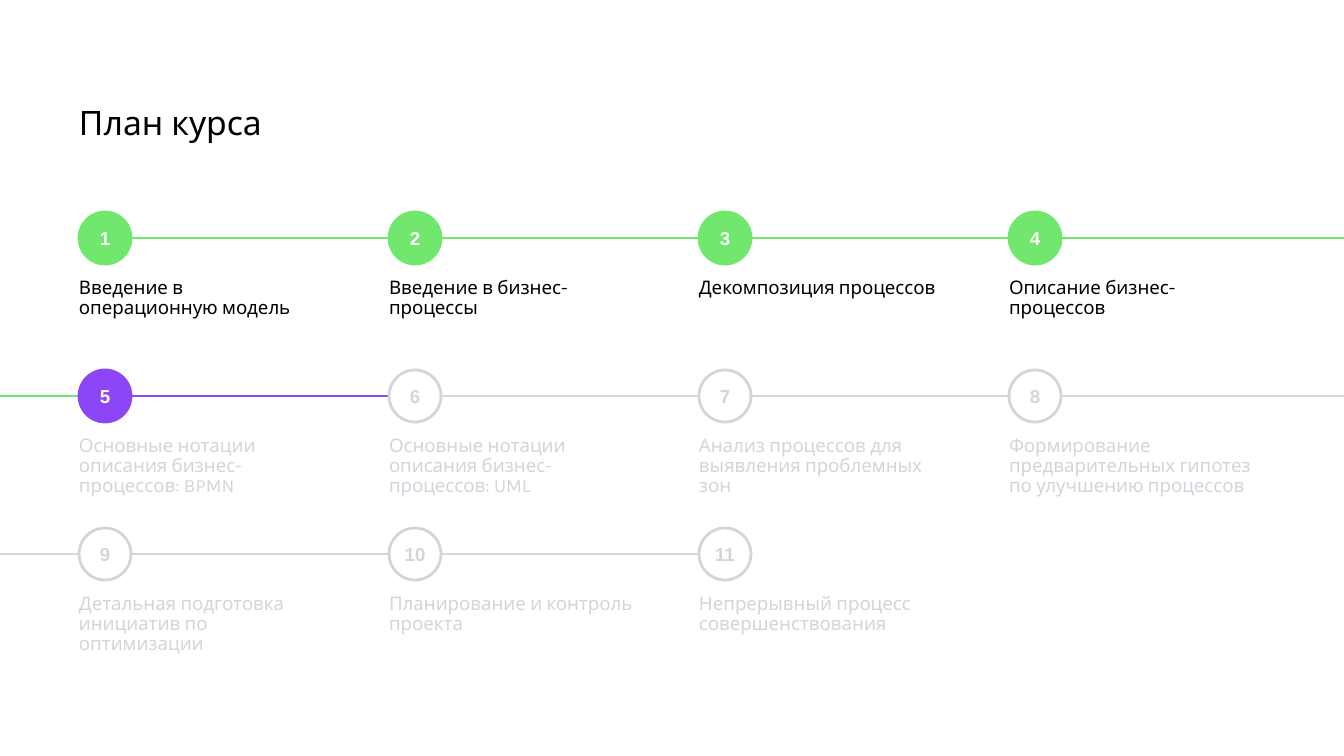
from dataclasses import dataclass

from pptx import Presentation
from pptx.dml.color import RGBColor
from pptx.enum.shapes import MSO_CONNECTOR, MSO_SHAPE
from pptx.enum.text import MSO_ANCHOR, MSO_AUTO_SIZE, PP_ALIGN
from pptx.oxml.ns import qn
from pptx.util import Pt
from lxml.etree import SubElement

EMU_PER_PX = 914400 / 134.4
SLIDE_W, SLIDE_H = 1344, 756
LEFT, TOP = 79, 212
COLUMN_PITCH, ROW_PITCH = 310, 158
COLUMNS = 4
MARKER = 52
LABEL_GAP, LABEL_W, LABEL_H, LABEL_INSET = 53, 257, 50, 13


@dataclass(frozen=True)
class Theme:
    done: str = "71E76E"
    current: str = "8D46F6"
    upcoming: str = "D4D4DD"
    ink: str = "000000"
    paper: str = "FFFFFF"
    text_font: str = "Karla"
    number_font: str = "Arial"
    title_size: int = 18
    body_size: int = 10
    line_width: float = 1.5
    line_spacing: float = 0.9


THEME = Theme()
CURRENT_STEP = 5
STEPS = [
    "Введение в операционную модель",
    "Введение в бизнес-процессы",
    "Декомпозиция процессов",
    "Описание бизнес-процессов",
    "Основные нотации описания бизнес-процессов: BPMN",
    "Основные нотации описания бизнес-процессов: UML",
    "Анализ процессов для выявления проблемных зон",
    "Формирование предварительных гипотез по улучшению процессов",
    "Детальная подготовка инициатив по оптимизации",
    "Планирование и контроль проекта",
    "Непрерывный процесс совершенствования",
]


def px(value):
    return round(value * EMU_PER_PX)


def rgb(color):
    return RGBColor.from_string(color)


def write_text(shape, text, *, size=THEME.body_size, color=THEME.ink,
               font=THEME.text_font, bold=False, align=PP_ALIGN.LEFT,
               anchor=MSO_ANCHOR.TOP, inset=0, spacing=THEME.line_spacing):
    """Fill a shape with one paragraph; inset applies to all sides but the left."""
    frame = shape.text_frame
    frame.word_wrap = True
    frame.auto_size = MSO_AUTO_SIZE.NONE
    frame.vertical_anchor = anchor
    frame.margin_left = 0
    frame.margin_top = frame.margin_right = frame.margin_bottom = px(inset)
    paragraph = frame.paragraphs[0]
    paragraph.alignment = align
    paragraph.line_spacing = spacing
    run = paragraph.add_run()
    run.text = text
    run.font.size = Pt(size)
    run.font.name = font
    run.font.bold = bold
    run.font.color.rgb = rgb(color)


def add_title(slide, text):
    title = slide.shapes.title
    title.left, title.top = px(LEFT), px(106)
    title.width, title.height = px(1185), px(47)
    write_text(title, text, size=THEME.title_size)


def add_path(slide, start, end, y, color):
    path = slide.shapes.add_connector(
        MSO_CONNECTOR.STRAIGHT, px(start), px(y), px(end), px(y))
    path.line.color.rgb = rgb(color)
    path.line.width = Pt(THEME.line_width)
    SubElement(path._element.spPr, qn("a:effectLst"))


def add_marker(slide, x, y, number, color):
    upcoming = number > CURRENT_STEP
    marker = slide.shapes.add_shape(
        MSO_SHAPE.OVAL, px(x), px(y), px(MARKER), px(MARKER))
    marker.shadow.inherit = False
    marker.fill.solid()
    marker.fill.fore_color.rgb = rgb(THEME.paper if upcoming else color)
    marker.line.color.rgb = rgb(color)
    marker.line.width = Pt(THEME.line_width)
    write_text(marker, str(number), font=THEME.number_font, bold=True,
               color=color if upcoming else THEME.paper,
               align=PP_ALIGN.CENTER, anchor=MSO_ANCHOR.MIDDLE, spacing=1.0)


def add_label(slide, x, y, text, color):
    label = slide.shapes.add_textbox(px(x), px(y), px(LABEL_W), px(LABEL_H))
    write_text(label, text, color=color, inset=LABEL_INSET)


def step_color(number):
    if number < CURRENT_STEP:
        return THEME.done
    return THEME.current if number == CURRENT_STEP else THEME.upcoming


def add_step(slide, number, text):
    """Draw a step and the path leading on from it, over the row break if needed."""
    row, column = divmod(number - 1, COLUMNS)
    x, y = LEFT + column * COLUMN_PITCH, TOP + row * ROW_PITCH
    middle = y + MARKER // 2
    color = step_color(number)
    if number < len(STEPS):
        ends_row = column == COLUMNS - 1
        end = SLIDE_W if ends_row else x + COLUMN_PITCH
        add_path(slide, x + MARKER, end, middle, color)
        if ends_row:
            add_path(slide, 0, LEFT, middle + ROW_PITCH, color)
    add_marker(slide, x, y, number, color)
    label_color = THEME.ink if number < CURRENT_STEP else THEME.upcoming
    add_label(slide, x, y + LABEL_GAP, text, label_color)


def main():
    deck = Presentation()
    deck.slide_width, deck.slide_height = px(SLIDE_W), px(SLIDE_H)
    slide = deck.slides.add_slide(deck.slide_layouts[5])
    add_title(slide, "План курса")
    for number, text in enumerate(STEPS, start=1):
        add_step(slide, number, text)
    deck.save("out.pptx")


if __name__ == "__main__":
    main()
